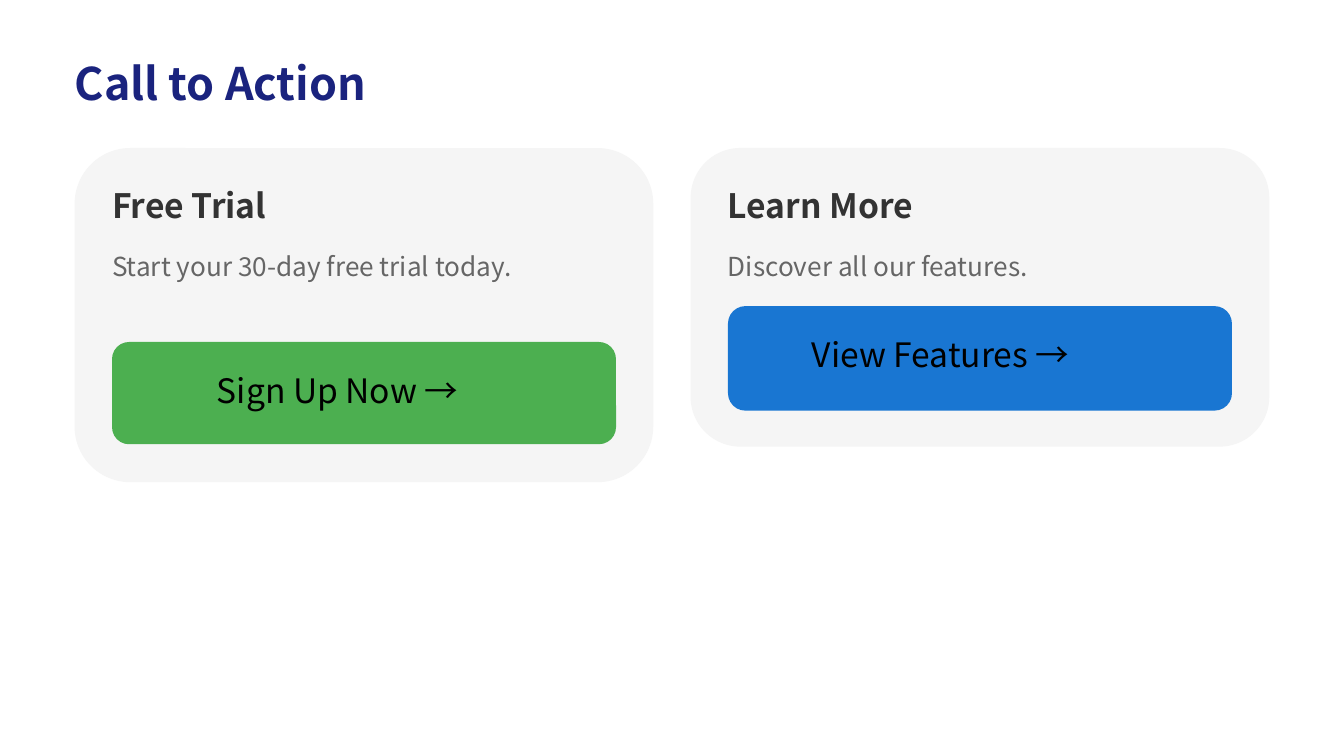
"""Build a call-to-action slide with two cards, each holding a button."""
from pptx import Presentation
from pptx.dml.color import RGBColor
from pptx.enum.shapes import MSO_SHAPE
from pptx.util import Pt

ROUNDED = MSO_SHAPE.ROUNDED_RECTANGLE
FONT = "Noto Sans CJK SC"
COLORS = {
    "title": "1A237E",
    "card": "F5F5F5",
    "heading": "333333",
    "body": "666666",
    "label": "000000",
    "green": "4CAF50",
    "blue": "1976D2",
}
MARGIN, GAP, PADDING = 40, 20, 20
CARD_TOP, CARD_WIDTH = 79.3, 310
INNER_WIDTH = CARD_WIDTH - 2 * PADDING

CARDS = [
    ("Free Trial", "Start your 30-day free trial today.", 40, 179,
     "Sign Up Now →", "green", 183.2, 54.8, 157.5),
    ("Learn More", "Discover all our features.", 21, 160,
     "View Features →", "blue", 164, 56, 180),
]

prs = Presentation()
prs.slide_width, prs.slide_height = Pt(720), Pt(405)
slide = prs.slides.add_slide(prs.slide_layouts[6])


def add_text(text, left, top, width, height, size, color, bold=False):
    box = slide.shapes.add_textbox(Pt(left), Pt(top), Pt(width), Pt(height))
    frame = box.text_frame
    frame.margin_left = frame.margin_right = frame.margin_top = frame.margin_bottom = 0
    frame.word_wrap = True
    frame.text = text
    font = frame.paragraphs[0].runs[0].font
    font.name, font.size, font.bold = FONT, Pt(size), bold
    font.color.rgb = RGBColor.from_string(COLORS[color])


def add_panel(left, top, width, height, color):
    panel = slide.shapes.add_shape(ROUNDED, Pt(left), Pt(top), Pt(width), Pt(height))
    panel.shadow.inherit = False
    panel.fill.solid()
    panel.fill.fore_color.rgb = RGBColor.from_string(COLORS[color])
    panel.line.fill.background()


add_text("Call to Action", MARGIN, 30, 640, 34, 24, "title", True)

for index, card in enumerate(CARDS):
    (heading, body, body_height, card_height,
     label, button_color, button_top, button_height, label_width) = card
    card_left = MARGIN + index * (CARD_WIDTH + GAP)
    inner_left = card_left + PADDING
    label_left = inner_left + (INNER_WIDTH - label_width) / 2
    add_panel(card_left, CARD_TOP, CARD_WIDTH, card_height, "card")
    add_text(heading, inner_left, 99.3, INNER_WIDTH, 26, 18, "heading", True)
    add_text(body, inner_left, 134, INNER_WIDTH, body_height, 14, "body")
    add_panel(inner_left, button_top, INNER_WIDTH, button_height, button_color)
    add_text(label, label_left, button_top + 15, label_width, 26, 18, "label")

prs.save("out.pptx")
